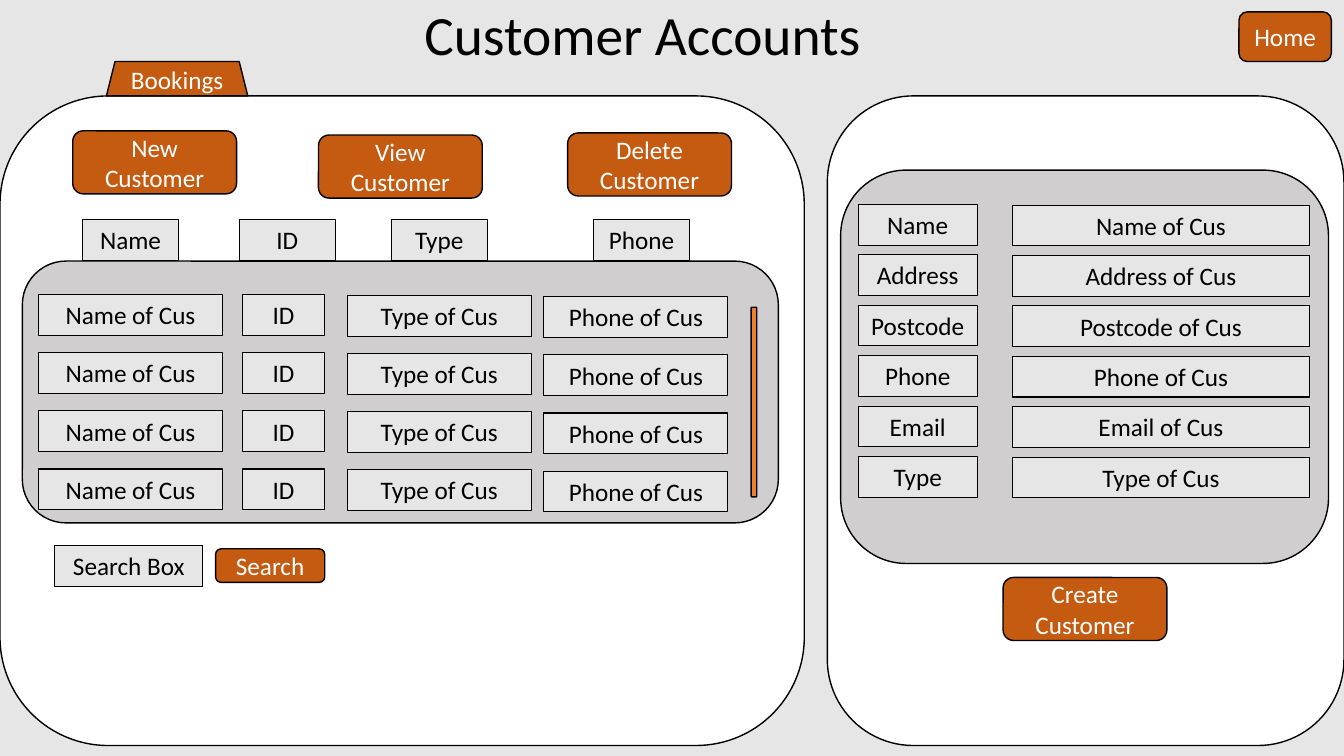
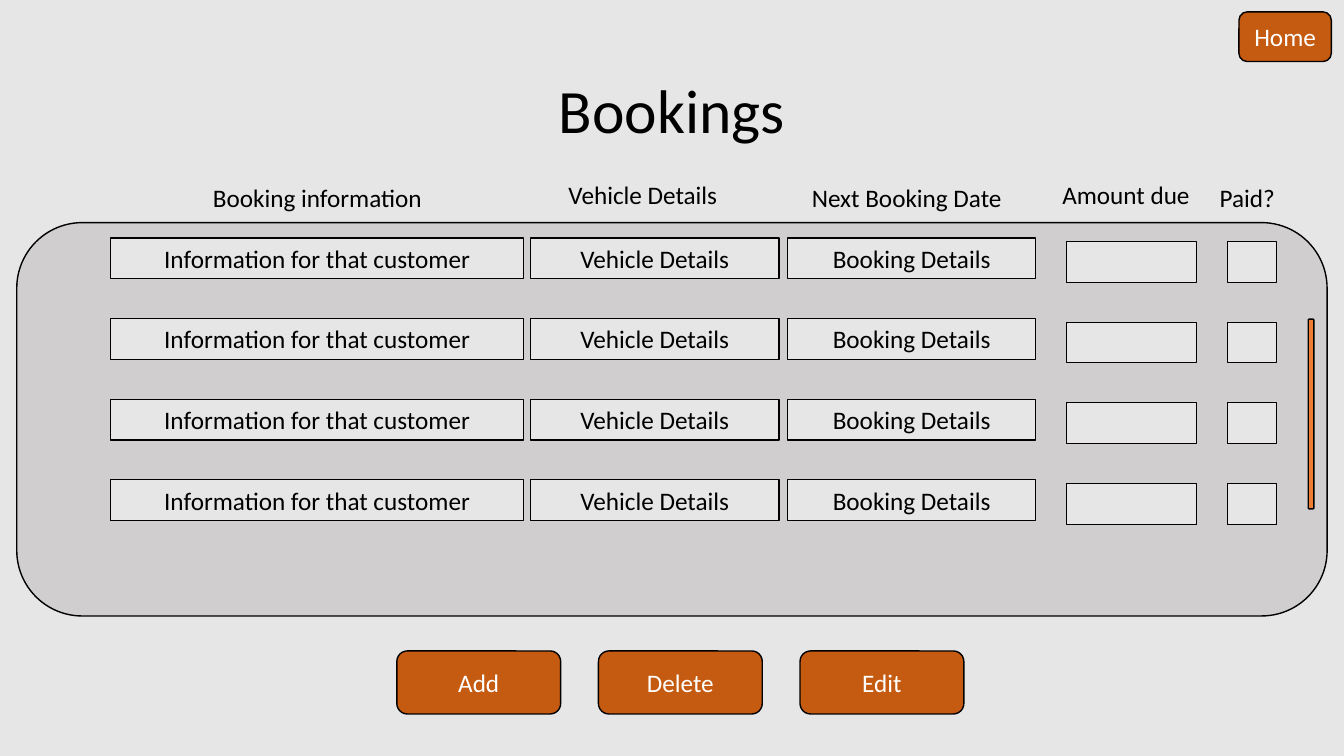
from pptx import Presentation
from pptx import util as u
from pptx.dml.color import RGBColor
from pptx.enum import shapes, text

Pt = u.Pt
PAGE = RGBColor(0xE7, 0xE6, 0xE6)
WHITE = RGBColor(0xFF, 0xFF, 0xFF)
BLACK = RGBColor(0x00, 0x00, 0x00)
GREY = RGBColor(0xD0, 0xCE, 0xCE)
RUST = RGBColor(0xC5, 0x5A, 0x11)
ORANGE = RGBColor(0xED, 0x7D, 0x31)

FONT = "Calibri"
FIELD_HEIGHT = 29.1
BUTTON_SIZE = (117, 45)
ROWS = 4
KIND = shapes.MSO_SHAPE
ANCHOR = text.MSO_ANCHOR


def write(shape, words, size=18, color=BLACK, anchor=ANCHOR.TOP, spacing=1.0):
    """Put centred text in a shape, one paragraph for each line of words."""
    frame = shape.text_frame
    frame.word_wrap = True
    frame.vertical_anchor = anchor
    for number, line in enumerate(words.split("\n")):
        paragraph = frame.add_paragraph() if number else frame.paragraphs[0]
        paragraph.alignment = text.PP_ALIGN.CENTER
        paragraph.line_spacing = spacing
        run = paragraph.add_run()
        run.text = line
        run.font.name = FONT
        run.font.size = Pt(size)
        run.font.color.rgb = color


def block(slide, kind, left, top, width, height, fill, line=1):
    shape = slide.shapes.add_shape(kind, Pt(left), Pt(top), Pt(width), Pt(height))
    shape.shadow.inherit = False
    shape.fill.solid()
    shape.fill.fore_color.rgb = fill
    if line:
        shape.line.color.rgb = BLACK
        shape.line.width = Pt(line)
    else:
        shape.line.fill.background()
    return shape


def panel(slide, left, top, width, height, fill=GREY):
    block(slide, KIND.ROUNDED_RECTANGLE, left, top, width, height, fill)


def scrollbar(slide, left, top):
    panel(slide, left, top, 4, 135.5, ORANGE)


def button(slide, words, left, top, size=BUTTON_SIZE, kind=KIND.ROUNDED_RECTANGLE):
    face = block(slide, kind, left, top, *size, RUST)
    write(face, words, color=WHITE, anchor=ANCHOR.MIDDLE)


def field(slide, words, left, top, width, line=0.75):
    box = block(slide, KIND.RECTANGLE, left, top, width, FIELD_HEIGHT, PAGE, line)
    if words:
        write(box, words)


def field_column(slide, entries, left, top, width, pitch):
    for row, words in enumerate(entries):
        field(slide, words, left, top + row * pitch, width)


def new_screen(deck, heading, left, top, width, height, size):
    """Start a slide with the shared background, title and Home button."""
    slide = deck.slides.add_slide(deck.slide_layouts[6])
    slide.background.fill.solid()
    slide.background.fill.fore_color.rgb = PAGE
    title = slide.shapes.add_textbox(Pt(left), Pt(top), Pt(width), Pt(height))
    write(title, heading, size=size, anchor=ANCHOR.MIDDLE, spacing=0.9)
    button(slide, "Home", 885, 8.5, (66, 35.5))
    return slide


def customer_screen(deck):
    slide = new_screen(deck, "Customer Accounts", 250, 0, 418, 53.5, 39.6)
    panel(slide, 591, 68.5, 369, 464, WHITE)
    panel(slide, 0, 68.5, 574.5, 464, WHITE)

    # Tab and customer actions
    button(slide, "Bookings", 76, 44, (101, 24.5), KIND.TRAPEZOID)
    button(slide, "New Customer", 52, 93.5)
    button(slide, "View Customer", 227.5, 96.5)
    button(slide, "Delete Customer", 405.5, 95)

    # Customer list
    for words, left in (("Name", 59), ("ID", 171), ("Type", 279.5), ("Phone", 424)):
        field(slide, words, left, 157, 68.5)
    panel(slide, 16, 186.5, 540, 187)
    for words, left, top, width in (
        ("Name of Cus", 27.5, 210.5, 131.5),
        ("ID", 173, 210.5, 59),
        ("Type of Cus", 248, 211, 131.5),
        ("Phone of Cus", 388.5, 212, 131.5),
    ):
        field_column(slide, [words] * ROWS, left, top, width, 41.5)
    scrollbar(slide, 536.5, 219.5)

    # Search
    field(slide, "Search Box", 39, 389.5, 106)
    button(slide, "Search", 154, 392, (78, 24))

    # Customer details
    details = ["Name", "Address", "Postcode", "Phone", "Email", "Type"]
    panel(slide, 600.5, 121.5, 348.5, 281)
    field_column(slide, details, 613, 146, 85, 36)
    field_column(slide, [f"{name} of Cus" for name in details], 723, 146.5, 212.5, 36)
    button(slide, "Create\nCustomer", 716.5, 412.5)


def bookings_screen(deck):
    slide = new_screen(deck, "Bookings", 66, 29, 828, 104, 44)

    # Column headings
    for words, left, top, width in (
        ("Booking information", 141, 127, 171.5),
        ("Vehicle Details", 373.5, 124.5, 171.5),
        ("Next Booking Date", 562, 127, 171.5),
        ("Amount due", 751, 124.5, 106.5),
        ("Paid?", 862, 127, 58),
    ):
        field(slide, words, left, top, width, line=None)

    # Booking list
    panel(slide, 12, 159, 936, 281)
    for words, left, top, width in (
        ("Information for that customer", 79, 170, 295),
        ("Vehicle Details", 379, 170, 177.5),
        ("Booking Details", 562.5, 170, 177.5),
        ("", 761.5, 172.5, 93.5),
        ("", 877, 172.5, 35),
    ):
        field_column(slide, [words] * ROWS, left, top, width, 57.6)
    scrollbar(slide, 934.5, 228)

    # Booking actions
    for number, words in enumerate(("Add", "Delete", "Edit")):
        button(slide, words, 283.5 + number * 144, 465)


def main():
    deck = Presentation()
    deck.slide_width = Pt(960)
    deck.slide_height = Pt(540)
    customer_screen(deck)
    bookings_screen(deck)
    deck.save("out.pptx")


main()
